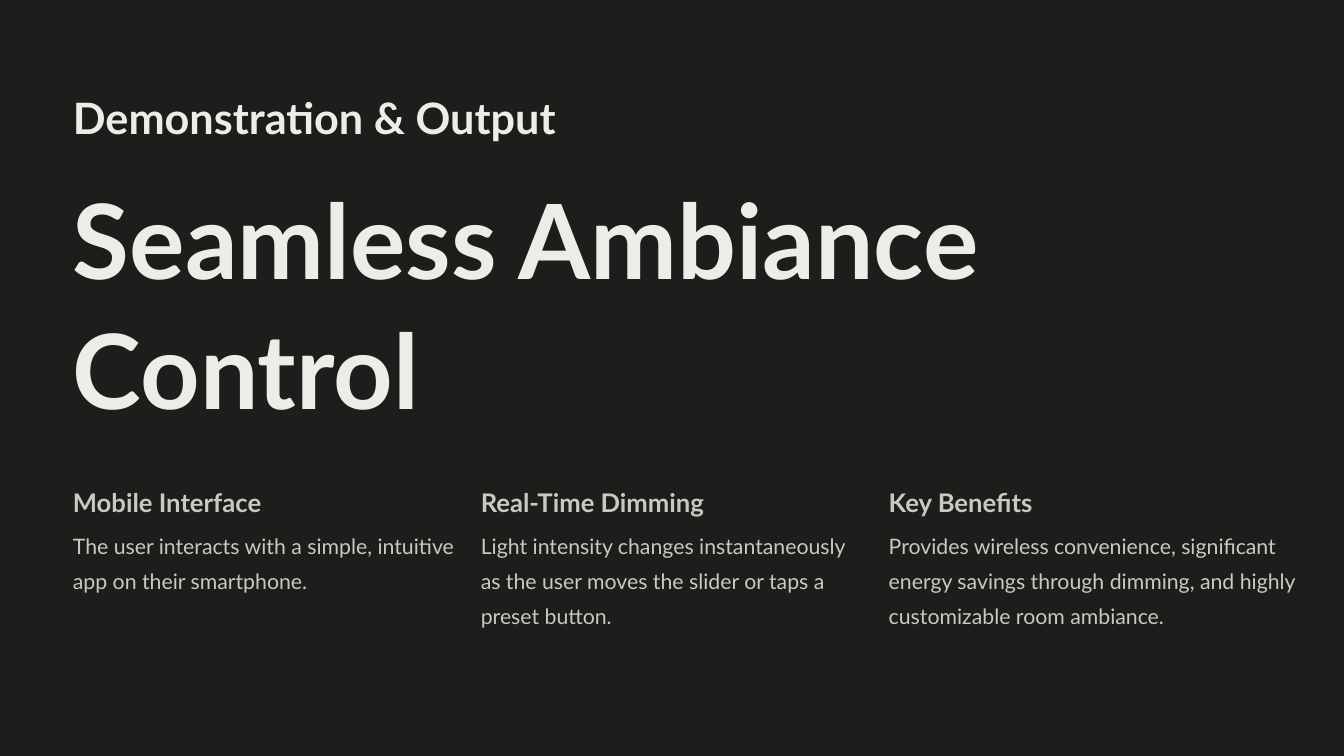
from dataclasses import dataclass

from pptx import Presentation
from pptx import util as u
from pptx.dml.color import RGBColor
from pptx.enum import shapes, text


@dataclass(frozen=True)
class TextStyle:
    size: float
    leading: float
    color: str
    bold: bool = False


@dataclass(frozen=True)
class Theme:
    font: str = "Lato"
    background: str = "1D1D1B"
    kicker: TextStyle = TextStyle(46.3, 58.1, "EDEDE8", True)
    title: TextStyle = TextStyle(111.2, 139.4, "EDEDE8", True)
    heading: TextStyle = TextStyle(27.5, 34.4, "C9C9C0", True)
    body: TextStyle = TextStyle(22.8, 37.2, "C9C9C0")


@dataclass(frozen=True)
class Box:
    left: float
    top: float
    width: float
    height: float

    def emu(self) -> tuple:
        return tuple(u.Inches(v) for v in (self.left, self.top, self.width, self.height))


@dataclass(frozen=True)
class Feature:
    heading: str
    body: str
    width: float = 5.7


THEME = Theme()
SLIDE = Box(0, 0, 20, 11.25)

# Column grid and row positions
MARGIN, COLUMN_STEP = 1.085, 6.07
HEADING_TOP, BODY_TOP = 7.22, 7.8

FEATURES = [
    Feature("Mobile Interface",
            "The user interacts with a simple, intuitive app on their smartphone."),
    Feature("Real-Time Dimming",
            "Light intensity changes instantaneously as the user moves the slider "
            "or taps a preset button."),
    Feature("Key Benefits",
            "Provides wireless convenience, significant energy savings through dimming, "
            "and highly customizable room ambiance.", 6.29),
]


def write(sp, content: str, style: TextStyle) -> None:
    """Fill a shape with one left-aligned paragraph, without insets."""
    tf = sp.text_frame
    tf.word_wrap = True
    tf.auto_size = text.MSO_AUTO_SIZE.NONE
    tf.vertical_anchor = text.MSO_ANCHOR.TOP
    tf.margin_left = tf.margin_right = tf.margin_top = tf.margin_bottom = 0
    p = tf.paragraphs[0]
    p.alignment = text.PP_ALIGN.LEFT
    p.line_spacing = u.Pt(style.leading)
    p.space_before = u.Pt(0)
    r = p.add_run()
    r.text = content
    r.font.name = THEME.font
    r.font.size = u.Pt(style.size)
    r.font.bold = style.bold
    r.font.color.rgb = RGBColor.from_string(style.color)


def add_backdrop(s) -> None:
    """Cover the slide with one dark panel, behind the title."""
    sp = s.shapes.add_shape(shapes.MSO_SHAPE.RECTANGLE, *SLIDE.emu())
    sp.shadow.inherit = False
    sp.fill.solid()
    sp.fill.fore_color.rgb = RGBColor.from_string(THEME.background)
    sp.line.fill.background()
    s.shapes.title.element.addprevious(sp.element)


def add_text(s, box: Box, content: str, style: TextStyle) -> None:
    write(s.shapes.add_textbox(*box.emu()), content, style)


def add_title(s, box: Box, content: str) -> None:
    sp = s.shapes.title
    sp.left, sp.top, sp.width, sp.height = box.emu()
    write(sp, content, THEME.title)


def add_feature(s, column: int, feature: Feature) -> None:
    left = MARGIN + column * COLUMN_STEP
    add_text(s, Box(left, HEADING_TOP, feature.width, 0.5), feature.heading, THEME.heading)
    add_text(s, Box(left, BODY_TOP, feature.width, 1.55), feature.body, THEME.body)


def main() -> None:
    prs = Presentation()
    prs.slide_width, prs.slide_height = u.Inches(SLIDE.width), u.Inches(SLIDE.height)
    s = prs.slides.add_slide(prs.slide_layouts[5])
    add_backdrop(s)

    # Section label and title
    add_text(s, Box(MARGIN, 1.32, 11.76, 0.8), "Demonstration & Output", THEME.kicker)
    add_title(s, Box(MARGIN, 2.53, 17.83, 3.94), "Seamless Ambiance Control")

    # Three feature columns
    for column, feature in enumerate(FEATURES):
        add_feature(s, column, feature)

    prs.save("out.pptx")


if __name__ == "__main__":
    main()
